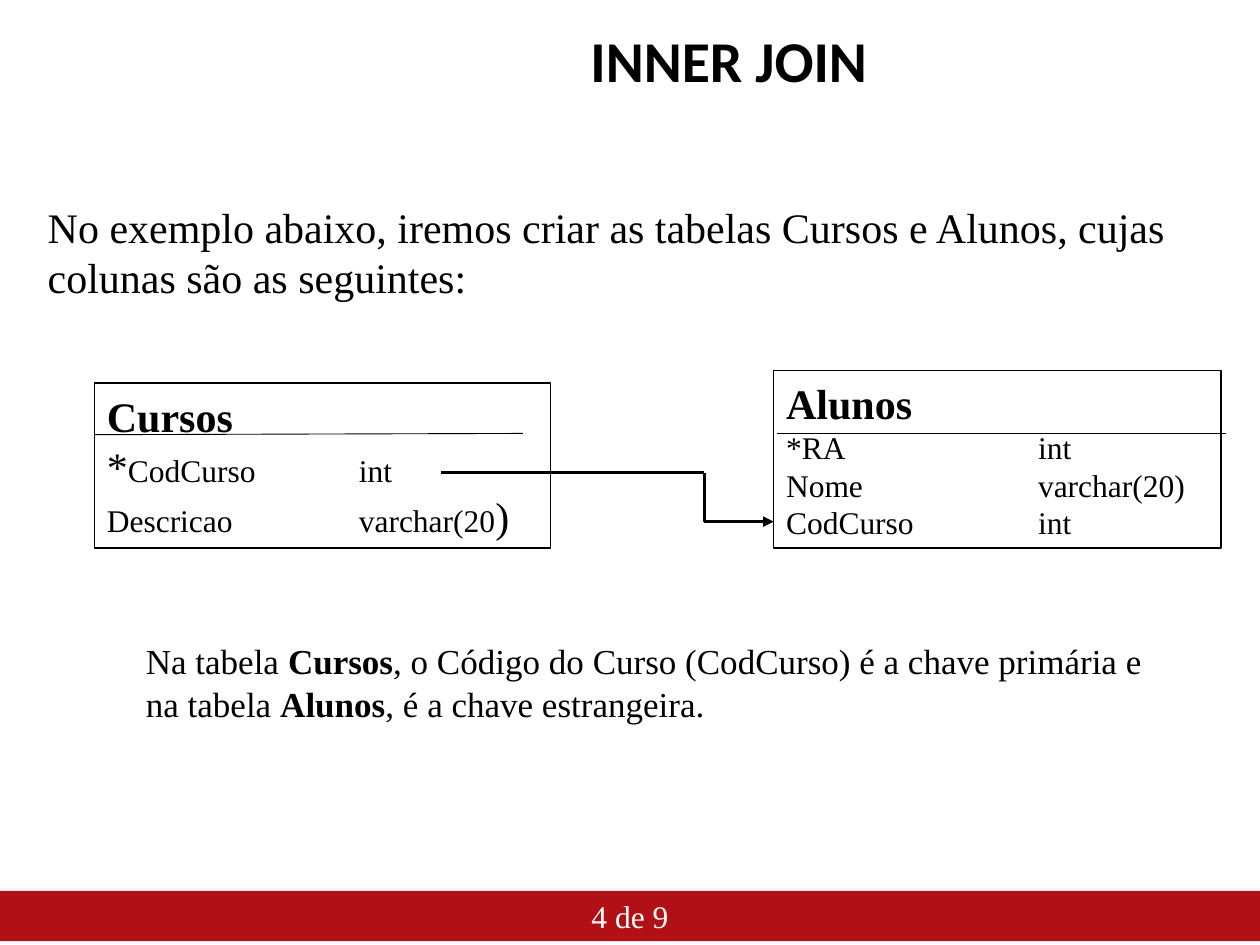
"""Build the INNER JOIN slide: two linked tables with explanatory text."""
from lxml.etree import SubElement
from pptx import Presentation
from pptx.dml.color import RGBColor
from pptx.enum.shapes import MSO_CONNECTOR as Connector, MSO_SHAPE as Shape
from pptx.enum.text import MSO_ANCHOR as Anchor, PP_ALIGN as Align
from pptx.oxml.ns import qn
from pptx.util import Emu, Inches, Pt

BLACK = RGBColor(0, 0, 0)
WHITE = RGBColor(255, 255, 255)
RED = RGBColor(0xB1, 0x11, 0x16)
SERIF = "Times New Roman"
TYPE_COLUMN = 2

INTRO = ("No exemplo abaixo, iremos criar as tabelas Cursos e Alunos, "
         "cujas colunas são as seguintes:")
NOTE = [("Na tabela ", 20, False), ("Cursos", 20, True),
        (", o Código do Curso (CodCurso) é a chave primária e na tabela ", 20, False),
        ("Alunos", 20, True), (", é a chave estrangeira.", 20, False)]
TABLES = [
    ((0.75, 3.04, 3.62, 1.31), [
        [("Cursos", 24, True)],
        [("*", 24, False), ("CodCurso\tint", 18, False)],
        [("Descricao\tvarchar(20", 18, False), (")", 24, False)]]),
    ((6.14, 2.94, 3.55, 1.41), [
        [("Alunos", 24, True)],
        [("*RA\tint", 18, False)],
        [("Nome\tvarchar(20)", 18, False)],
        [("CodCurso\tint", 18, False)]]),
]
HEADER_RULES = [((0.75, 3.45), (4.15, 3.44)), ((6.17, 3.44), (9.73, 3.44))]
KEY_ROUTE = [(3.5, 3.75), (5.59, 3.75), (5.59, 4.14), (6.14, 4.14)]

presentation = Presentation()
presentation.slide_width, presentation.slide_height = Inches(10), Inches(7.5)
slide = presentation.slides.add_slide(presentation.slide_layouts[6])


def add_text(box, paragraphs, *, font=SERIF, color=BLACK, align=Align.LEFT,
             anchor=Anchor.TOP, spacing=None, fill=None, outline=None, tab=None):
    """Add a text box, or a rectangle when it has a fill or an outline."""
    place = [Inches(length) for length in box]
    if fill is None and outline is None:
        shape = slide.shapes.add_textbox(*place)
    else:
        shape = slide.shapes.add_shape(Shape.RECTANGLE, *place)
        shape.shadow.inherit = False
        if fill is None:
            shape.fill.background()
        else:
            shape.fill.solid()
            shape.fill.fore_color.rgb = fill
        if outline is None:
            shape.line.fill.background()
        else:
            shape.line.color.rgb = outline
            shape.line.width = Pt(0.75)
    frame = shape.text_frame
    frame.word_wrap = True
    frame.vertical_anchor = anchor
    for index, runs in enumerate(paragraphs):
        paragraph = frame.add_paragraph() if index else frame.paragraphs[0]
        paragraph.alignment = align
        paragraph.line_spacing = spacing
        if tab:
            stops = SubElement(paragraph._p.get_or_add_pPr(), qn("a:tabLst"))
            SubElement(stops, qn("a:tab"), pos=str(Inches(tab)), algn="l")
        for text, size, bold in runs:
            run = paragraph.add_run()
            run.text = text
            run.font.name, run.font.size, run.font.bold = font, Pt(size), bold
            run.font.color.rgb = color


def add_line(start, end, width, arrow=False):
    """Draw a straight black line, with an optional arrowhead at its end."""
    points = [Emu(Inches(value)) for value in (*start, *end)]
    line = slide.shapes.add_connector(Connector.STRAIGHT, *points)
    line.line.color.rgb = BLACK
    line.line.width = Pt(width)
    if arrow:
        SubElement(line.line._get_or_add_ln(), qn("a:tailEnd"), type="triangle")
    SubElement(line._element.spPr, qn("a:effectLst"))


add_text((0, 7.07, 10, 0.4), [[("4 de 9", 18, False)]], color=WHITE,
         align=Align.CENTER, anchor=Anchor.MIDDLE, fill=RED)
add_text((1.77, 0.21, 8.03, 0.79), [[("INNER JOIN", 33, True)]], font="Calibri",
         align=Align.CENTER, spacing=0.9)
add_text((0.28, 1.55, 9.45, 0.91), [[(INTRO, 24, False)]])
for box, rows in TABLES:
    add_text(box, rows, anchor=Anchor.MIDDLE, outline=BLACK, tab=TYPE_COLUMN)
for start, end in HEADER_RULES:
    add_line(start, end, 0.5)
for start, end in zip(KEY_ROUTE, KEY_ROUTE[1:]):
    add_line(start, end, 1.75, arrow=end == KEY_ROUTE[-1])
add_text((1.06, 5.03, 8.16, 1.11), [NOTE])

presentation.save("out.pptx")
